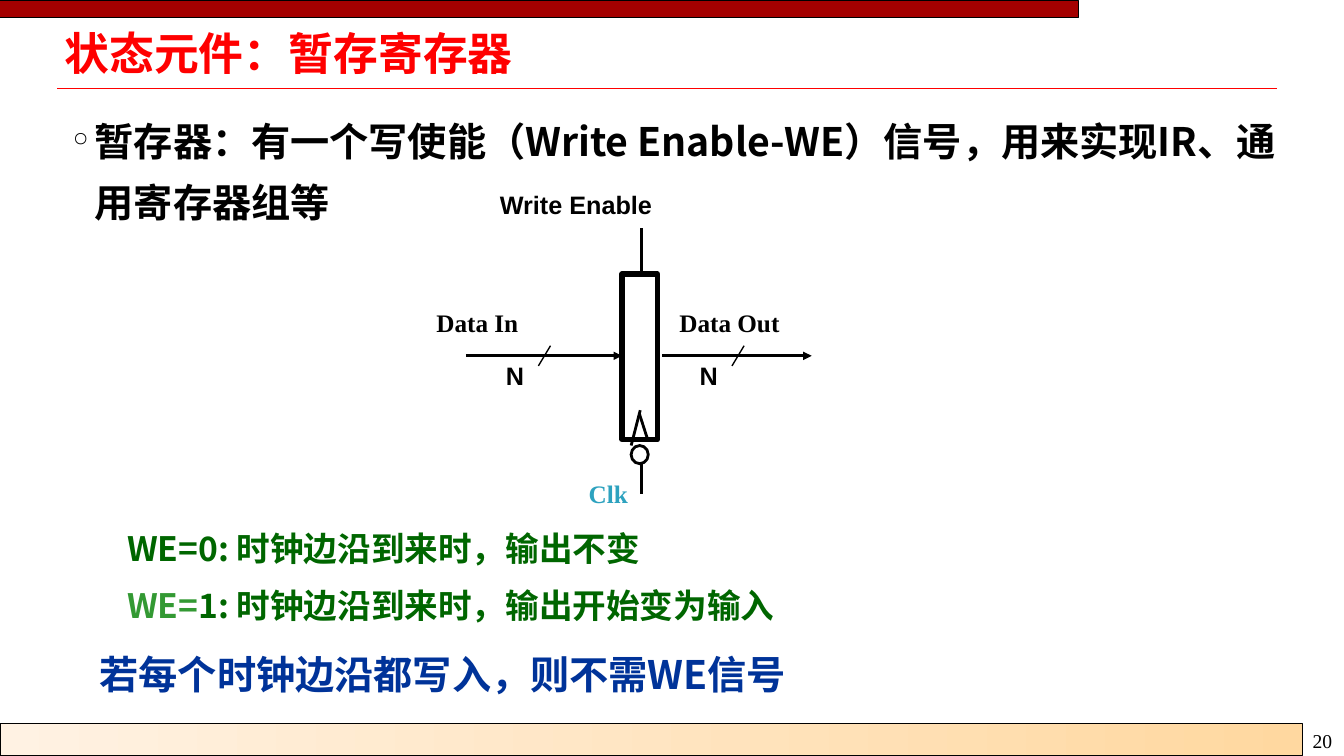
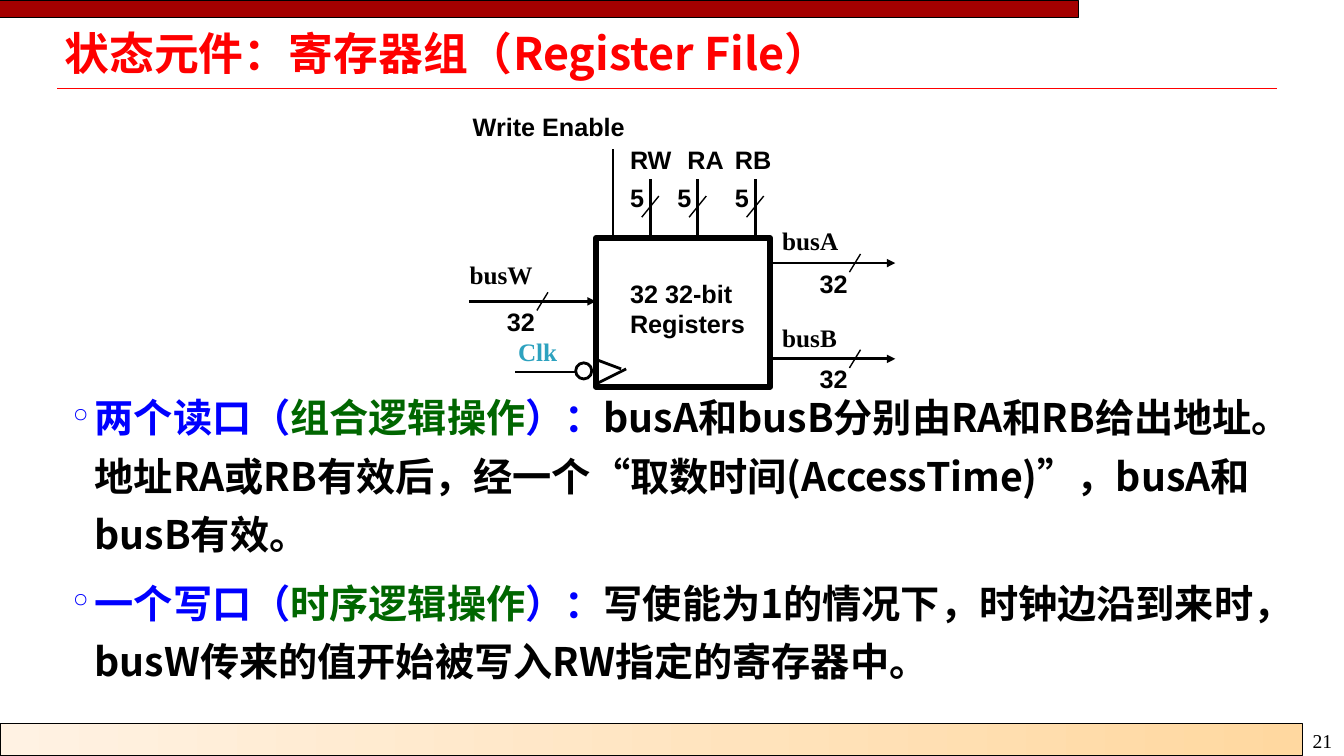
from typing import NamedTuple, Optional

from lxml import etree
from pptx import Presentation
from pptx import util as u
from pptx.dml import color
from pptx.enum import shapes, text
from pptx.oxml import ns

SANS, SERIF, CJK = "Arial", "Times New Roman", "Noto Sans CJK SC"
BLACK, RED, BAND, CLOCK = "000000", "FF0000", "A40000", "2DA2BF"
GREEN, LIGHT_GREEN, BLUE, NAVY = "006600", "339933", "0000FF", "003399"
FOOTER_LEFT, FOOTER_RIGHT = "FFF2E3", "FFD8A0"


class Run(NamedTuple):
    words: str
    colour: str = BLACK


class Style(NamedTuple):
    size: float
    font: str = CJK
    bold: bool = True
    line: Optional[float] = None
    gap: float = 0
    margin: float = 0
    bullet: str = ""


class Label(NamedTuple):
    words: str
    x: float
    y: float
    width: float
    font: str = SANS
    colour: str = BLACK


class Wire(NamedTuple):
    x1: float
    y1: float
    x2: float
    y2: float
    weight: float = 2
    arrow: bool = False


class Outline(NamedTuple):
    x: float
    y: float
    width: float
    height: float
    weight: float = 4
    kind: shapes.MSO_SHAPE = shapes.MSO_SHAPE.RECTANGLE


TITLE = Style(32, line=33)
POINT = Style(28, line=41.8, gap=7, margin=0.22, bullet="°")
LABEL = Style(18, SERIF)


def rgb(value: str) -> color.RGBColor:
    return color.RGBColor.from_string(value)


def child(parent, tag: str, **attributes: str):
    return etree.SubElement(parent, ns.qn(tag), attributes)


def write(slide, box: tuple, paragraphs: list[list[Run]], style: Style,
          inset: tuple = (0.07, 0.03)) -> None:
    frame = slide.shapes.add_textbox(*map(u.Inches, box)).text_frame
    frame.word_wrap = True
    frame.margin_left = frame.margin_right = u.Inches(inset[0])
    frame.margin_top = frame.margin_bottom = u.Inches(inset[1])
    for index, runs in enumerate(paragraphs):
        paragraph = frame.paragraphs[0] if index == 0 else frame.add_paragraph()
        if style.margin:
            props = paragraph._p.get_or_add_pPr()
            props.set("marL", str(u.Inches(style.margin)))
            if style.bullet:
                props.set("indent", str(-u.Inches(style.margin)))
                child(props, "a:buChar", char=style.bullet)
        if style.line:
            paragraph.line_spacing = u.Pt(style.line)
        if index and style.gap:
            paragraph.space_before = u.Pt(style.gap)
        for part in runs:
            run = paragraph.add_run()
            run.text = part.words
            run.font.size = u.Pt(style.size)
            run.font.bold = style.bold
            run.font.color.rgb = rgb(part.colour)
            run.font.name = style.font
            child(run._r.get_or_add_rPr(), "a:ea", typeface=style.font)


def draw_label(slide, label: Label) -> None:
    lines = [[Run(line, label.colour)] for line in label.words.split("\n")]
    height = 0.18 + 0.3 * len(lines)
    write(slide, (label.x, label.y, label.width, height), lines,
          LABEL._replace(font=label.font), (0.1, 0.05))


def draw_wire(slide, wire: Wire, colour: str = BLACK) -> None:
    line = slide.shapes.add_connector(
        shapes.MSO_CONNECTOR.STRAIGHT, u.Inches(wire.x1), u.Inches(wire.y1),
        u.Inches(wire.x2), u.Inches(wire.y2))
    line.line.color.rgb = rgb(colour)
    line.line.width = u.Pt(wire.weight)
    if wire.arrow:
        child(line.line._get_or_add_ln(), "a:tailEnd", type="triangle")
    child(line._element.spPr, "a:effectLst")


def draw_outline(slide, outline: Outline):
    shape = slide.shapes.add_shape(
        outline.kind, u.Inches(outline.x), u.Inches(outline.y),
        u.Inches(outline.width), u.Inches(outline.height))
    shape.shadow.inherit = False
    shape.fill.background()
    shape.line.color.rgb = rgb(BLACK)
    shape.line.width = u.Pt(outline.weight)
    return shape


def draw_diagram(slide, outlines: list[Outline], wires: list[Wire],
                 labels: list[Label]) -> None:
    for outline in outlines:
        draw_outline(slide, outline)
    for wire in wires:
        draw_wire(slide, wire)
    for label in labels:
        draw_label(slide, label)


def tick(x: float, y: float, width: float = 0.11, height: float = 0.18) -> Wire:
    return Wire(x - width / 2, y + height / 2, x + width / 2, y - height / 2, 1)


def start_slide(deck, title: str, number: int):
    slide = deck.slides.add_slide(deck.slide_layouts[6])
    draw_wire(slide, Wire(0.57, 0.88, 12.67, 0.88, 1), RED)
    footer = draw_outline(slide, Outline(0, 7.18, 12.92, 0.32, 0.75))
    footer.fill.gradient()
    footer.fill.gradient_angle = 0
    for stop, shade in zip(footer.fill.gradient_stops, (FOOTER_LEFT, FOOTER_RIGHT)):
        stop.color.rgb = rgb(shade)
    band = draw_outline(slide, Outline(0, 0.01, 10.7, 0.16, 0.75))
    band.fill.solid()
    band.fill.fore_color.rgb = rgb(BAND)
    write(slide, (12.92, 7.18, 0.43, 0.34), [[Run(str(number))]],
          Style(14, SERIF, bold=False), (0.1, 0.05))
    write(slide, (0.57, 0.3, 12.02, 0.52), [[Run(title, RED)]], TITLE)
    return slide


def build_register(deck) -> None:
    slide = start_slide(deck, "状态元件：暂存寄存器", 20)
    write(slide, (0.65, 1, 12.14, 1.3),
          [[Run("暂存器：有一个写使能（Write Enable-WE）信号，用来实现IR、通用寄存器组等")]],
          POINT._replace(line=43.6))
    write(slide, (0.65, 5.11, 12.14, 1.15),
          [[Run("WE=0: 时钟边沿到来时，输出不变", GREEN)],
           [Run("WE=", LIGHT_GREEN), Run("1: 时钟边沿到来时，输出开始变为输入", GREEN)]],
          Style(24, line=35.9, gap=4.8, margin=0.54))
    write(slide, (0.35, 6.29, 8.31, 0.69),
          [[Run("若每个时钟边沿都写入，则不需WE信号", NAVY)]],
          Style(28, line=41.8, margin=0.54), (0.1, 0.05))
    bus_y = 3.53
    outlines = [Outline(6.17, 2.72, 0.35, 1.64),
                Outline(6.26, 4.42, 0.17, 0.18, 2, shapes.MSO_SHAPE.OVAL)]
    wires = [Wire(6.26, 4.42, 6.35, 4.07), Wire(6.34, 4.1, 6.43, 4.38),
             Wire(6.36, 2.71, 6.36, 2.26), Wire(6.36, 4.58, 6.36, 4.9, 2.25),
             Wire(4.62, bus_y, 6.17, bus_y, arrow=True),
             Wire(6.57, bus_y, 8.05, bus_y, arrow=True)]
    labels = [Label("Clk", 5.74, 4.7, 0.72, SERIF, CLOCK),
              Label("Data In", 4.23, 3, 1.48, SERIF),
              Label("Data Out", 6.64, 3, 2.03, SERIF),
              Label("Write Enable", 4.86, 1.83, 2.07)]
    for tick_x in (5.4, 7.32):
        wires.append(tick(tick_x, bus_y, 0.12, 0.2))
        labels.append(Label("N", tick_x - 0.48, bus_y, 0.46))
    draw_diagram(slide, outlines, wires, labels)


def build_register_file(deck) -> None:
    slide = start_slide(deck, "状态元件：寄存器组（Register File）", 21)
    write(slide, (0.65, 3.76, 12.26, 3.1),
          [[Run("两个读口（", BLUE), Run("组合逻辑操作", GREEN), Run("）：", BLUE),
            Run("busA和busB分别由RA和RB给出地址。地址RA或RB有效后，"
                "经一个“取数时间(AccessTime)”，busA和busB有效。")],
           [Run("一个写口（", BLUE), Run("时序逻辑操作", GREEN), Run("）：", BLUE),
            Run("写使能为1的情况下，时钟边沿到来时，"
                "busW传来的值开始被写入RW指定的寄存器中。")]], POINT)
    outlines = [Outline(5.91, 2.36, 1.73, 1.48),
                Outline(5.71, 3.6, 0.16, 0.16, 2, shapes.MSO_SHAPE.OVAL)]
    wires = [Wire(5.92, 3.57, 6.16, 3.66), Wire(6.21, 3.66, 5.91, 3.81),
             Wire(6.08, 2.35, 6.08, 1.48), Wire(5.7, 3.69, 5.11, 3.69)]
    labels = [Label("Clk", 5.04, 3.29, 0.67, SERIF, CLOCK),
              Label("Write Enable", 4.59, 1.05, 1.92),
              Label("32 32-bit\nRegisters", 6.15, 2.71, 1.52)]
    for bus, name_x, name_y, start, end, y, tick_x in (
            ("busW", 4.56, 2.52, 4.65, 5.91, 2.99, 5.38),
            ("busA", 7.66, 2.19, 7.64, 8.88, 2.61, 8.48),
            ("busB", 7.66, 3.15, 7.64, 8.88, 3.56, 8.48)):
        wires += [Wire(start, y, end, y, arrow=True), tick(tick_x, y)]
        labels += [Label(bus, name_x, name_y, 0.94, SERIF),
                   Label("32", tick_x - 0.45, y, 0.54)]
    for port, name_x, x in (("RW", 6.15, 6.45), ("RA", 6.72, 6.92), ("RB", 7.19, 7.49)):
        wires += [Wire(x, 1.78, x, 2.36), tick(x, 2.05, 0.17, 0.21)]
        labels += [Label(port, name_x, 1.38, 0.69), Label("5", x - 0.3, 1.76, 0.38)]
    draw_diagram(slide, outlines, wires, labels)


def main() -> None:
    """Build the two slides on state elements and save them."""
    deck = Presentation()
    deck.slide_width, deck.slide_height = u.Inches(13.33), u.Inches(7.5)
    build_register(deck)
    build_register_file(deck)
    deck.save("out.pptx")


if __name__ == "__main__":
    main()
